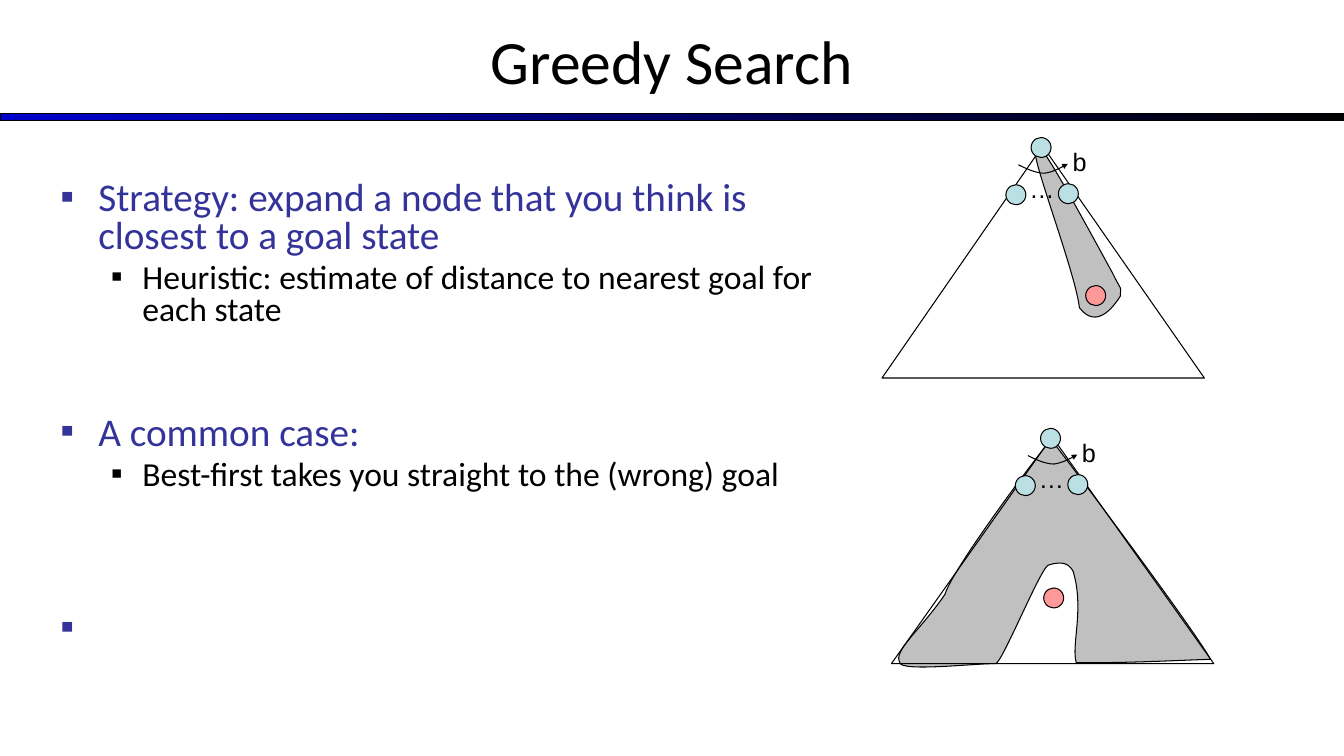
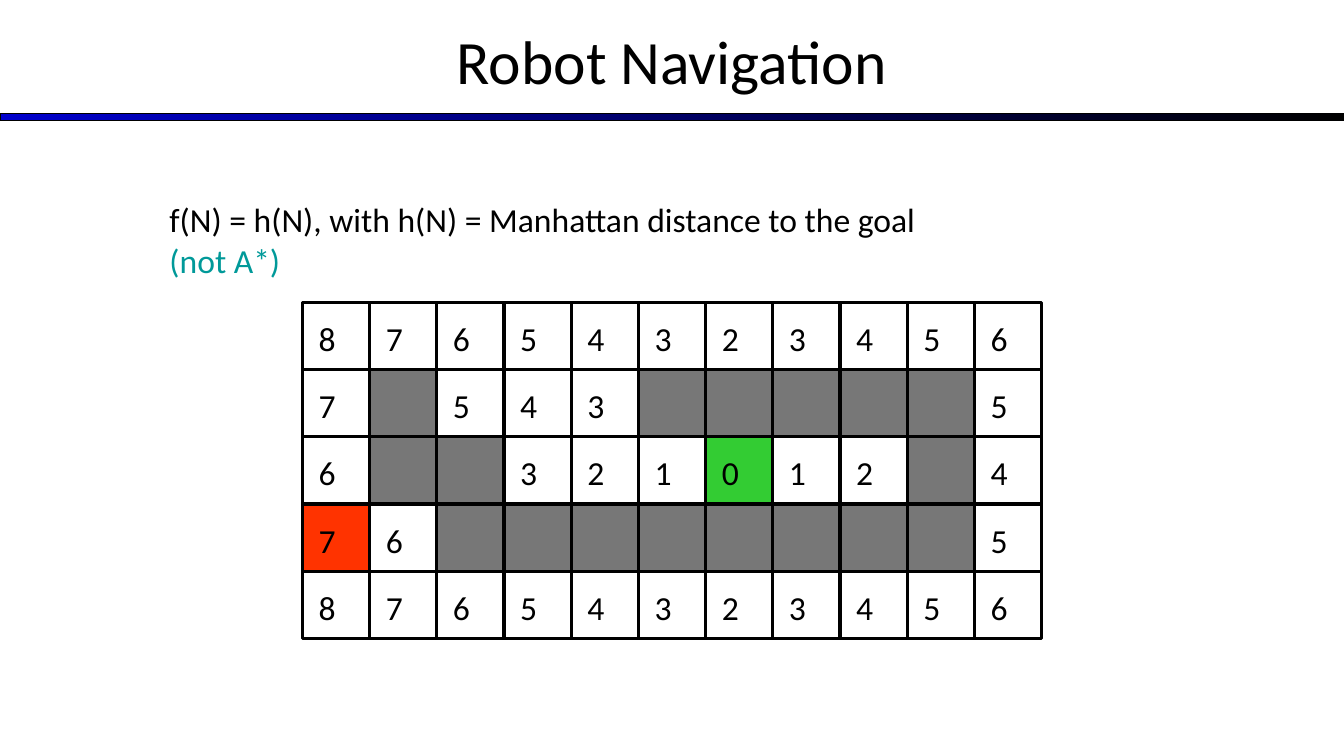
from lxml.etree import SubElement
from pptx import Presentation
from pptx.dml.color import RGBColor
from pptx.enum.shapes import MSO_CONNECTOR, MSO_SHAPE
from pptx.enum.text import MSO_ANCHOR, MSO_AUTO_SIZE, PP_ALIGN
from pptx.oxml.ns import qn
from pptx.util import Pt

PX = 9525
WIDE, HIGH = 1280, 720
CELL = 64
DOT = 19
THIN, THICK = 0.75, 2.25

RECT, OVAL = MSO_SHAPE.RECTANGLE, MSO_SHAPE.OVAL
STRAIGHT = MSO_CONNECTOR.STRAIGHT
MIDDLE, CENTER = MSO_ANCHOR.MIDDLE, PP_ALIGN.CENTER
NO_FIT = MSO_AUTO_SIZE.NONE

BLACK = RGBColor(0x00, 0x00, 0x00)
BLUE = RGBColor(0x00, 0x00, 0xCC)
INDIGO = RGBColor(0x33, 0x33, 0x99)
TEAL = RGBColor(0x00, 0x99, 0x99)
AQUA = RGBColor(0xBB, 0xE0, 0xE3)
PINK = RGBColor(0xFF, 0x99, 0x99)
SILVER = RGBColor(0xC0, 0xC0, 0xC0)
GRAY = RGBColor(0x77, 0x77, 0x77)
RED = RGBColor(0xFF, 0x33, 0x00)
GREEN = RGBColor(0x33, 0xCC, 0x33)

LEVELS = (
    {"left": 36, "hang": 36, "size": 28, "color": INDIGO},
    {"left": 78, "hang": 30, "size": 24, "color": BLACK},
)
POINTS = (
    (0, 0, "Strategy: expand a node that you think is closest to a goal state"),
    (1, 4.8, "Heuristic: estimate of distance to nearest goal for each state"),
    (0, 63, "A common case:"),
    (1, 4.8, "Best-first takes you straight to the (wrong) goal"),
    (0, 85, " "),
)

ARC = ((130, 18), (138, 22), (147, 26), (155, 26), (162, 25), (170, 21), (177, 17))
BEAM = (
    (158, 12), (170, 30), (207, 98), (219, 120),
    (230, 142), (227, 132), (227, 143),
    (220, 154), (204, 175), (188, 154),
    (185, 126), (152, 37), (147, 13),
    (141, -11), (147, -7), (158, 12),
)
FLOOD = (
    (157, 9), (183, 43), (287, 182), (304, 212),
    (291, 212), (222, 216), (176, 215),
    (171, 199), (184, 164), (173, 128),
    (169, 121), (163, 118), (150, 122),
    (144, 120), (104, 219), (99, 216),
    (78, 216), (8, 224), (8, 215),
    (1, 204), (28, 184), (51, 150),
    (59, 125), (128, 33), (146, 10),
    (163, -14), (155, 9), (157, 9),
)

MAZE = (
    "87654323456",
    "7#543#####5",
    "6##321012#4",
    "76########5",
    "87654323456",
)
START, GOAL = (3, 0), (2, 6)


def scale(*sizes):
    return [size * PX for size in sizes]


def place(shape, *box):
    shape.left, shape.top, shape.width, shape.height = scale(*box)


def style(font, size, color, name="Calibri"):
    font.name, font.size, font.color.rgb = name, Pt(size), color


def paint(shape, fill=None, width=THIN):
    shape.shadow.inherit = False
    shape.line.color.rgb = BLACK
    shape.line.width = Pt(width)
    if fill is None:
        shape.fill.background()
    else:
        shape.fill.solid()
        shape.fill.fore_color.rgb = fill


def label(slide, box, text, size, name="Calibri"):
    frame = slide.shapes.add_textbox(*scale(*box)).text_frame
    frame.word_wrap = True
    frame.text = text
    for para in frame.paragraphs:
        style(para.font, size, BLACK, name)
    return frame


def outline(slide, x, y, dots, fill=None, curved=True, closed=True):
    first, *rest = [(x + dx, y + dy) for dx, dy in dots]
    pen = slide.shapes.build_freeform(*first, scale=PX)
    pen.add_line_segments(rest, close=closed)
    shape = pen.convert_to_shape()
    paint(shape, fill)
    if curved:
        bend(shape)
    return shape


def bend(shape):
    lines = list(shape.element.iter(qn("a:lnTo")))
    for i in range(0, len(lines), 3):
        curve = lines[i].makeelement(qn("a:cubicBezTo"))
        lines[i].addprevious(curve)
        for line in lines[i:i + 3]:
            curve.append(line[0])
            line.getparent().remove(line)


def node(slide, x, y, fill=AQUA):
    paint(slide.shapes.add_shape(OVAL, *scale(x, y, DOT, DOT)), fill)


def tree(slide, x, y, high, region, goal):
    outline(slide, x, y, region, SILVER)
    outline(slide, x, y, ((0, high), (307, high), (153, 0)), curved=False)
    node(slide, x + 118, y + 37)
    node(slide, x + 168, y + 36)
    label(slide, (x + 131, y + 21, 29, 38), "…", 18, "Arial")
    arc = outline(slide, x, y, ARC, closed=False)
    line = arc.element.spPr.find(qn("a:ln"))
    SubElement(line, qn("a:tailEnd"), type="triangle", w="sm", len="sm")
    label(slide, (x + 172, y - 4, 32, 38), "b", 18, "Arial")
    node(slide, x + goal[0], y + goal[1], PINK)
    node(slide, x + 142, y - 8)


def bullet(para, left, hang, color):
    props = para._p.get_or_add_pPr()
    props.set("marL", str(left * PX))
    props.set("indent", str(-hang * PX))
    tint = SubElement(props, qn("a:buClr"))
    SubElement(tint, qn("a:srgbClr"), val=str(color))
    SubElement(props, qn("a:buFont"), typeface="Arial")
    SubElement(props, qn("a:buChar"), char="▪")


def outlined_list(body, box):
    place(body, *box)
    frame = body.text_frame
    frame.auto_size = NO_FIT
    frame.text = "\n".join(text for _, _, text in POINTS)
    for para, (level, gap, _) in zip(frame.paragraphs, POINTS):
        look = LEVELS[level]
        para.level = level
        bullet(para, look["left"], look["hang"], look["color"])
        para.line_spacing = 0.8
        para.space_before = Pt(gap)
        for run in para.runs:
            style(run.font, look["size"], look["color"])


def rule(slide, *ends):
    line = slide.shapes.add_connector(STRAIGHT, *scale(*ends))
    line.line.color.rgb = BLACK
    line.line.width = Pt(THICK)
    SubElement(line.element.spPr, qn("a:effectLst"))


def tile(slide, box, fill=None):
    paint(slide.shapes.add_shape(RECT, *scale(*box)), fill, THICK)


def maze(slide, x, y):
    rows, cols = len(MAZE), len(MAZE[0])
    wide, high = cols * CELL, rows * CELL
    tile(slide, (x, y, wide, high))
    for left in range(x + CELL, x + wide, CELL):
        rule(slide, left, y, left, y + high)
    for top in range(y + CELL, y + high, CELL):
        rule(slide, x, top, x + wide, top)
    tints = {START: RED, GOAL: GREEN}
    for r, marks in enumerate(MAZE):
        for c, mark in enumerate(marks):
            left, top = x + c * CELL, y + r * CELL
            tint = GRAY if mark == "#" else tints.get((r, c))
            if tint is not None:
                tile(slide, (left, top, CELL, CELL), tint)
            if mark != "#":
                label(slide, (left + 6, top + 10, 39, 48), mark, 24)


def band(deck, slide):
    bar = slide.shapes.add_shape(RECT, *scale(0, 108, WIDE, 7))
    paint(bar)
    bar.fill.gradient()
    bar.fill.gradient_angle = 0
    for stop, color in zip(bar.fill.gradient_stops, (BLUE, BLACK)):
        stop.color.rgb = color
    bar.element.nvSpPr.cNvPr.set("id", "99")
    deck.slide_master.shapes.element.append(bar.element)


def start(deck, layout, text):
    slide = deck.slides.add_slide(deck.slide_layouts[layout])
    title = slide.shapes.title
    place(title, 0, -3, WIDE, 120)
    frame = title.text_frame
    frame.text = text
    frame.auto_size = NO_FIT
    frame.vertical_anchor = MIDDLE
    para = frame.paragraphs[0]
    para.alignment = CENTER
    style(para.runs[0].font, 44, BLACK)
    return slide


def greedy(deck):
    slide = start(deck, 1, "Greedy Search")
    band(deck, slide)
    outlined_list(slide.placeholders[1], (48, 168, 744, 512))
    tree(slide, 840, 139, 221, BEAM, (194, 133))
    tree(slide, 849, 416, 216, FLOOD, (145, 144))


def robot(deck):
    slide = start(deck, 5, "Robot Navigation")
    maze(slide, 288, 288)
    text = "f(N) = h(N), with h(N) = Manhattan distance to the goal\n(not A*)"
    frame = label(slide, (152, 185, 913, 86), text, 24)
    frame.paragraphs[1].font.color.rgb = TEAL


def main():
    deck = Presentation()
    deck.slide_width, deck.slide_height = scale(WIDE, HIGH)
    greedy(deck)
    robot(deck)
    deck.save("out.pptx")


if __name__ == "__main__":
    main()
